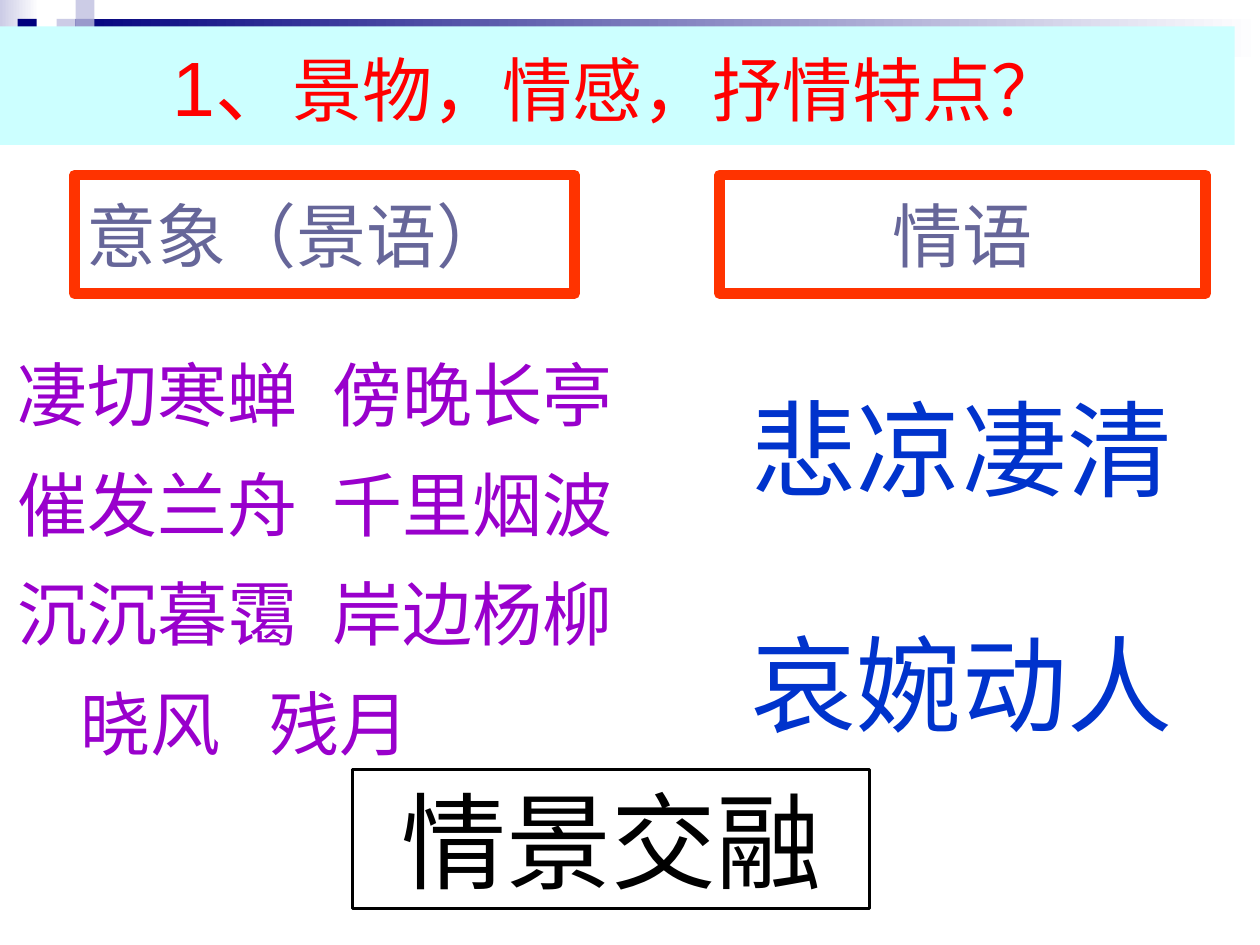
from dataclasses import dataclass

from lxml.etree import SubElement
from pptx import Presentation
from pptx.dml.color import RGBColor
from pptx.enum.shapes import MSO_SHAPE
from pptx.enum.text import MSO_ANCHOR, MSO_AUTO_SIZE, PP_ALIGN
from pptx.oxml.ns import qn
from pptx.util import Inches, Pt

COLS, ROWS = 100, 75
WIDE, HIGH = Inches(10), Inches(7.5)


@dataclass(frozen=True)
class Theme:
    """Colours, fonts and type sizes of the slide."""
    navy: str = "00007D"
    pale: str = "CCCCE6"
    mid: str = "9999CC"
    white: str = "FFFFFF"
    frame: str = "FF3300"
    slate: str = "666699"
    violet: str = "9900CC"
    blue: str = "0033CC"
    band: str = "CCFFFF"
    red: str = "FF0000"
    black: str = "000000"
    sans: str = "Arial"
    head: str = "Noto Sans CJK SC"
    body: str = "Noto Sans CJK JP"
    text: int = 40
    lead: int = 44
    big: int = 60


T = Theme()


def rgb(code):
    """Turn a hex code into a colour."""
    return RGBColor.from_string(code)


def cell(col, row, cols, rows):
    """Turn grid columns and rows into slide lengths."""
    return (round(WIDE * col / COLS), round(HIGH * row / ROWS),
            round(WIDE * cols / COLS), round(HIGH * rows / ROWS))


def place(shape, area):
    """Move a shape to its grid area."""
    shape.left, shape.top, shape.width, shape.height = cell(*area)


def paint(shape, fill=None, line=None, width=1):
    """Set the fill, one colour or a fading pair, and the outline."""
    if isinstance(fill, tuple):
        shape.fill.gradient()
        shape.fill.gradient_angle = 0
        for stop, code, pos in zip(shape.fill.gradient_stops, fill, (0, 1)):
            stop.color.rgb, stop.position = rgb(code), pos
    elif fill:
        shape.fill.solid()
        shape.fill.fore_color.rgb = rgb(fill)
    else:
        shape.fill.background()
    if line:
        shape.line.color.rgb, shape.line.width = rgb(line), Pt(width)
    else:
        shape.line.fill.background()


def block(slide, area, **style):
    """Add a plain rectangle."""
    shape = slide.shapes.add_shape(MSO_SHAPE.RECTANGLE, *cell(*area))
    shape.shadow.inherit = False
    paint(shape, **style)
    return shape


def plain(para, stops):
    """Clear bullet and indent, and set tab stops in columns."""
    props = para._p.get_or_add_pPr()
    props.set("marL", "0")
    props.set("indent", "0")
    SubElement(props, qn("a:buNone"))
    if stops:
        tabs = SubElement(props, qn("a:tabLst"))
        for stop in stops:
            SubElement(tabs, qn("a:tab"), pos=str(round(WIDE * stop / COLS)), algn="l")


def write(shape, lines, size=T.text, font=T.sans, color=T.black, align=PP_ALIGN.LEFT,
          anchor=MSO_ANCHOR.MIDDLE, space=1.0, before=0, stops=()):
    """Fill a shape with lines, each a list of texts or (text, size) pairs."""
    frame = shape.text_frame
    frame.word_wrap, frame.auto_size = True, MSO_AUTO_SIZE.NONE
    frame.vertical_anchor = anchor
    for num, line in enumerate(lines):
        para = frame.add_paragraph() if num else frame.paragraphs[0]
        plain(para, stops[num] if stops else ())
        para.alignment, para.line_spacing = align, space
        para.space_before = Pt(before if num else 0)
        for part in line:
            text, points = part if isinstance(part, tuple) else (part, size)
            run = para.add_run()
            run.text = text
            run.font.size, run.font.name = Pt(points), font
            run.font.color.rgb = rgb(color)
            SubElement(run._r.get_or_add_rPr(), qn("a:ea"), typeface=font)


def trim(slide):
    """Draw the bars and squares along the top edge."""
    block(slide, (0, 0, 3.1, 5.8), fill=(T.pale, T.white))
    block(slide, (4.5, 1.5, 95.5, 3), fill=(T.navy, T.white))
    for col, row, fill in ((4.5, 1.5, T.pale), (6, 0, T.pale),
                           (6, 1.5, T.mid), (1.4, 1.5, T.navy)):
        block(slide, (col, row, 1.5, 1.5), fill=fill)


def main():
    """Build the slide and save it."""
    deck = Presentation()
    deck.slide_width, deck.slide_height = WIDE, HIGH
    slide = deck.slides.add_slide(deck.slide_layouts[1])
    title, body = slide.placeholders
    trim(slide)

    label = dict(font=T.head, color=T.slate)
    place(title, (5.9, 13.9, 39.7, 9.4))
    paint(title, line=T.frame, width=6)
    write(title, [["意象（景语）"]], **label)

    place(body, (0.4, 26.1, 59.5, 42.1))
    pair = (27.2,)
    write(body, [["凄切寒蝉\t傍晚长亭"], ["催发兰舟\t千里烟波"],
                 ["沉沉暮霭\t岸边杨柳"], ["\t晓风\t残月"]],
          font=T.body, color=T.violet, anchor=MSO_ANCHOR.TOP, space=1.2,
          before=5, stops=(pair, pair, pair, (5, 21.1)))

    mood = slide.shapes.add_textbox(*cell(58.7, 26.5, 39, 33.2))
    write(mood, [["悲凉凄清"], ["哀婉动人"]], size=T.big, color=T.blue,
          anchor=MSO_ANCHOR.TOP, space=1.35, before=37.5)

    tone = block(slide, (57.1, 13.9, 38.6, 9.4), line=T.frame, width=6)
    write(tone, [["情语"]], align=PP_ALIGN.CENTER, **label)

    band = block(slide, (0, 2.1, 98, 9.4), fill=T.band)
    write(band, [[("1、", T.lead), "景物，情感，抒情特点？"]], color=T.red,
          align=PP_ALIGN.CENTER)

    blend = block(slide, (28, 61.1, 41, 11), line=T.black, width=1.75)
    write(blend, [["情景交融"]], size=T.big, align=PP_ALIGN.CENTER,
          anchor=MSO_ANCHOR.TOP)

    deck.save("out.pptx")


if __name__ == "__main__":
    main()
